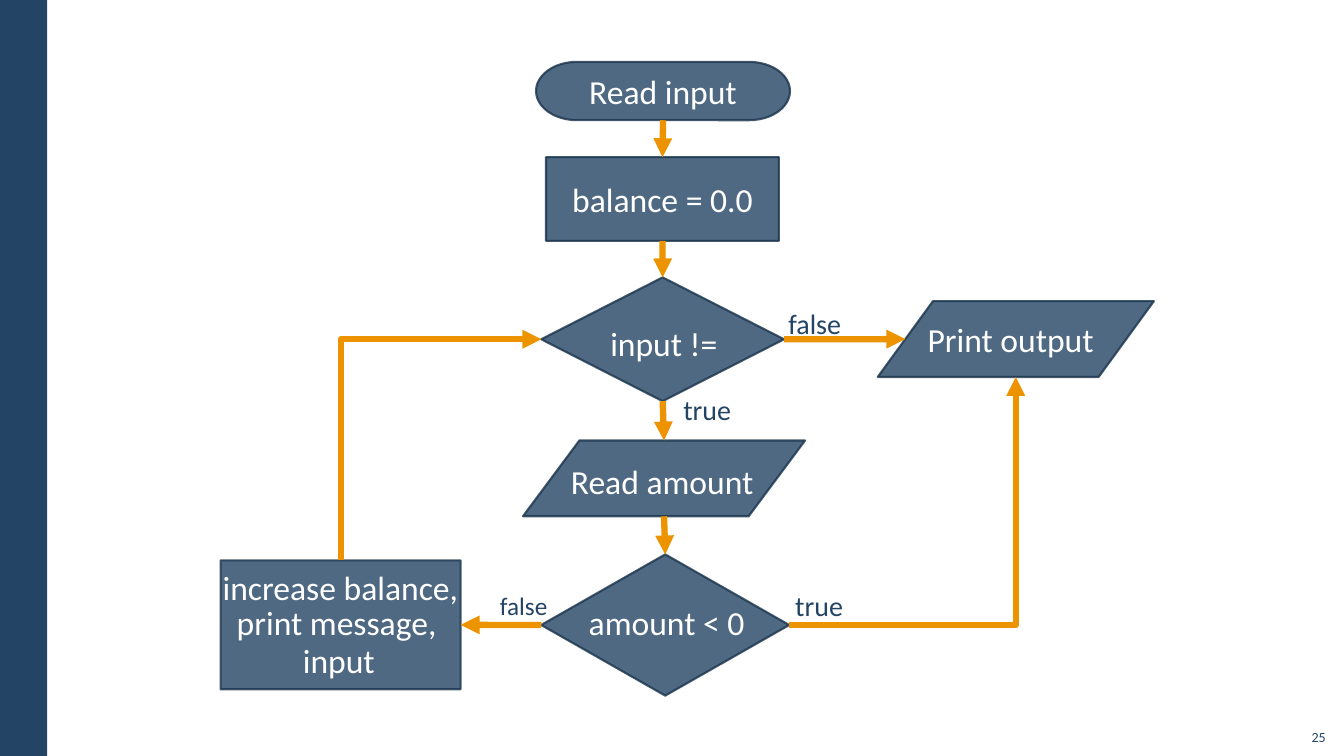
from lxml.etree import SubElement
from pptx import Presentation
from pptx.dml.color import RGBColor
from pptx.enum.shapes import MSO_CONNECTOR, MSO_SHAPE
from pptx.enum.text import MSO_ANCHOR, MSO_AUTO_SIZE, PP_ALIGN
from pptx.oxml.ns import qn
from pptx.util import Cm, Pt

NAVY, EDGE, GOLD, WHITE = "234465", "1A334C", "ED9300", "FFFFFF"
WIDE, HIGH = 33.87, 19.05
STEP, TEST, DATA = (MSO_SHAPE.FLOWCHART_PROCESS, MSO_SHAPE.FLOWCHART_DECISION,
                    MSO_SHAPE.FLOWCHART_DATA)

# name: (kind, (left, top, width, height) in cm, text inside the shape)
NODES = {
    "start": (MSO_SHAPE.FLOWCHART_TERMINATOR, (13.51, 1.56, 6.4, 1.47), "Read input"),
    "init": (STEP, (13.76, 3.96, 5.87, 2.11), "balance = 0.0"),
    "check": (TEST, (13.64, 6.99, 6.12, 3.12), ""),
    "read": (DATA, (13.18, 11.1, 7.11, 1.91), ""),
    "sign": (TEST, (13.64, 13.97, 6.25, 3.56), ""),
    "add": (STEP, (5.56, 14.12, 6.05, 3.25), ""),
    "print": (DATA, (22.12, 7.59, 6.96, 1.91), ""),
}
# node: [(text, left, top, width, wrap)], grouped with the node
CAPTIONS = {
    "check": [("input !=", 13.67, 8, 6.12, True)],
    "read": [("Read amount", 13.44, 11.48, 6.5, True)],
    "sign": [("amount < 0", 14.3, 15.04, 5, True)],
    "add": [("increase balance,", 5.33, 14.17, 6.5, False),
            ("print message,", 5.69, 15.04, 5.59, False),
            ("input", 7.37, 16, 2.34, False)],
    "print": [("Print output", 23.11, 7.9, 4.72, False)],
}
# (text, box, size, wrap)
LABELS = [
    ("true", (16.81, 9.5, 2.49, 1.55), 20, True),
    ("false", (19.46, 7.34, 2.16, 1.5), 20, False),
    ("true", (19.63, 14.45, 2.11, 1.55), 20, True),
    ("false", (12.19, 14.5, 2.01, 1.4), 18, False),
]
# (from node, side, to node, side)
ARROWS = [
    ("start", "bottom", "init", "top"),
    ("init", "bottom", "check", "top"),
    ("check", "bottom", "read", "top"),
    ("read", "bottom", "sign", "top"),
    ("check", "right", "print", "left"),
    ("sign", "left", "add", "right"),
    ("add", "top", "check", "left"),
    ("sign", "right", "print", "bottom"),
]


def color(text):
    return RGBColor.from_string(text)


def cms(box):
    return [Cm(n) for n in box]


def paint(fill, tint, alpha=None):
    fill.solid()
    fill.fore_color.rgb = color(tint)
    if alpha:
        srgb = fill._xPr.find(".//" + qn("a:srgbClr"))
        SubElement(srgb, qn("a:alpha"), val=str(alpha * 1000))


def style(para, size, tint, align):
    para.alignment = align
    para.font.size = Pt(size)
    para.font.name = "Calibri"
    para.font.color.rgb = color(tint)


def write(home, text, box, size, tint, align, wrap=True):
    frame = home.add_textbox(*cms(box)).text_frame
    frame.text = text
    frame.word_wrap = wrap
    style(frame.paragraphs[0], size, tint, align)
    return frame


def port(name, side):
    """Point where an arrow meets a node; data boxes slant at the sides."""
    kind, (x, y, w, h), _ = NODES[name]
    slant = w / 10 if kind == DATA else 0
    return {"top": (x + w / 2, y), "bottom": (x + w / 2, y + h),
            "left": (x + slant, y + h / 2),
            "right": (x + w - slant, y + h / 2)}[side]


def draw(shapes, name):
    kind, box, text = NODES[name]
    notes = CAPTIONS.get(name, [])
    home = shapes.add_group_shape().shapes if notes else shapes
    node = home.add_shape(kind, *cms(box))
    node.shadow.inherit = False
    paint(node.fill, NAVY, 80)
    node.line.width = Pt(1.5)
    paint(node.line.fill, EDGE, 80)
    if text:
        node.text_frame.text = text
        node.text_frame.vertical_anchor = MSO_ANCHOR.MIDDLE
        style(node.text_frame.paragraphs[0], 24, WHITE, PP_ALIGN.CENTER)
    for note, x, y, w, wrap in notes:
        frame = write(home, note, (x, y, w, 1.27), 24, WHITE, PP_ALIGN.CENTER, wrap)
        frame.auto_size = MSO_AUTO_SIZE.SHAPE_TO_FIT_TEXT


def link(shapes, src, out, dst, into):
    (ax, ay), (bx, by) = port(src, out), port(dst, into)
    sides = {"top", "bottom"}
    bent = (out in sides) != (into in sides)
    turn = bent and out in sides
    if turn:  # a quarter turn makes the first leg vertical
        mx, my = (ax + bx) / 2, (ay + by) / 2
        dx, dy = (bx - ax) / 2, (by - ay) / 2
        ax, ay, bx, by = mx - dy, my + dx, mx + dy, my - dx
    kind = MSO_CONNECTOR.ELBOW if bent else MSO_CONNECTOR.STRAIGHT
    arrow = shapes.add_connector(kind, *cms((ax, ay, bx, by)))
    arrow.line.width = Pt(4.5)
    paint(arrow.line.fill, GOLD)
    SubElement(arrow.line._get_or_add_ln(), qn("a:tailEnd"), type="triangle")
    props = arrow._element.spPr
    SubElement(props, qn("a:effectLst"))
    if bent:
        props.find(qn("a:prstGeom")).set("prst", "bentConnector2")
    if turn:
        props.find(qn("a:xfrm")).set("rot", str(90 * 60000))


def main():
    deck = Presentation()
    deck.slide_width, deck.slide_height = Cm(WIDE), Cm(HIGH)
    shapes = deck.slides.add_slide(deck.slide_layouts[6]).shapes

    bar = shapes.add_shape(MSO_SHAPE.RECTANGLE, *cms((0, 0, 1.19, HIGH)))
    bar.shadow.inherit = False
    paint(bar.fill, NAVY)
    bar.line.fill.background()

    for name in NODES:
        draw(shapes, name)
    for arrow in ARROWS:
        link(shapes, *arrow)
    for text, box, size, wrap in LABELS:
        frame = write(shapes, text, box, size, NAVY, PP_ALIGN.LEFT, wrap)
        frame.margin_left = Cm(0.41)
        # Unwrapped labels keep a slim right margin so the word fits its box.
        frame.margin_right = Cm(0.41 if wrap else 0.1)
        frame.margin_top = frame.margin_bottom = Cm(0.3)
        frame.paragraphs[0].line_spacing = 1.1
        # A fixed box holds its place; only wrapped labels grow.
        frame.auto_size = (MSO_AUTO_SIZE.SHAPE_TO_FIT_TEXT if wrap
                           else MSO_AUTO_SIZE.NONE)

    page = write(shapes, "25", (32.64, 18.1, 1.02, 0.81), 10, NAVY, PP_ALIGN.RIGHT)
    page.vertical_anchor = MSO_ANCHOR.BOTTOM
    deck.save("out.pptx")


if __name__ == "__main__":
    main()
